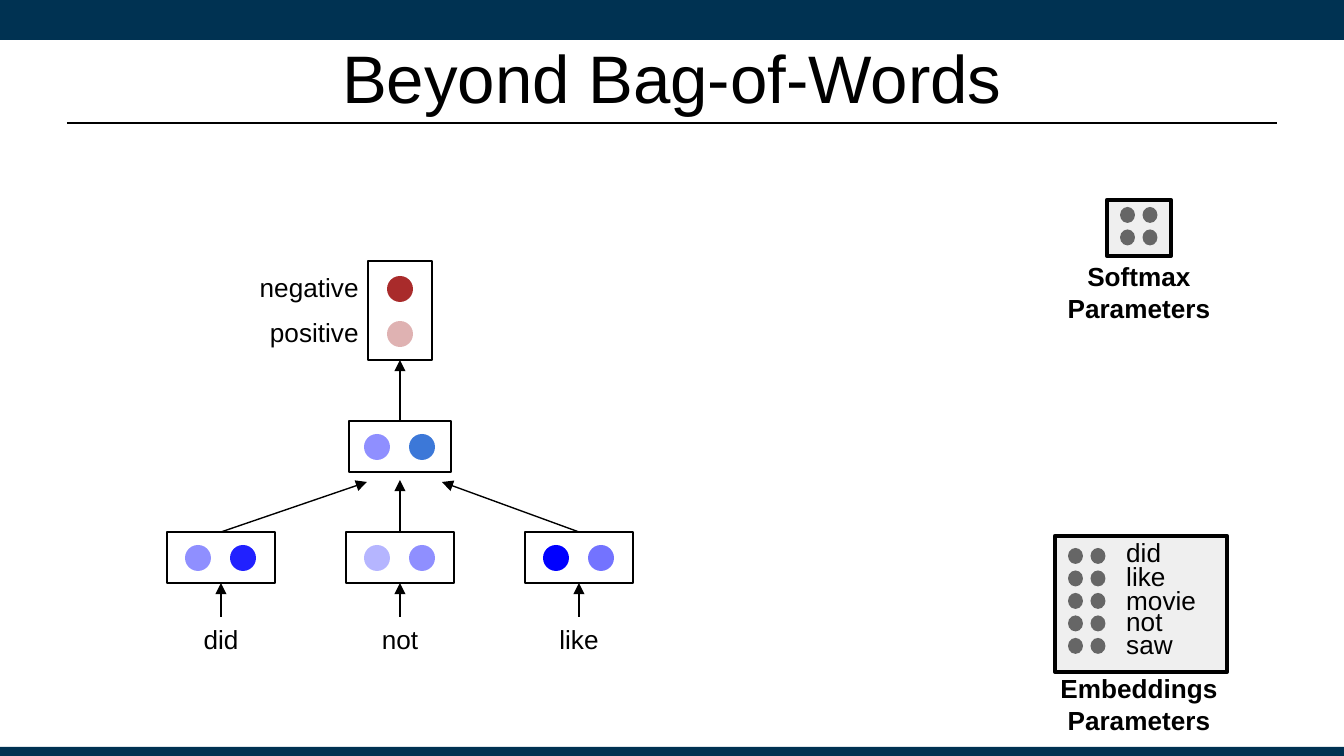
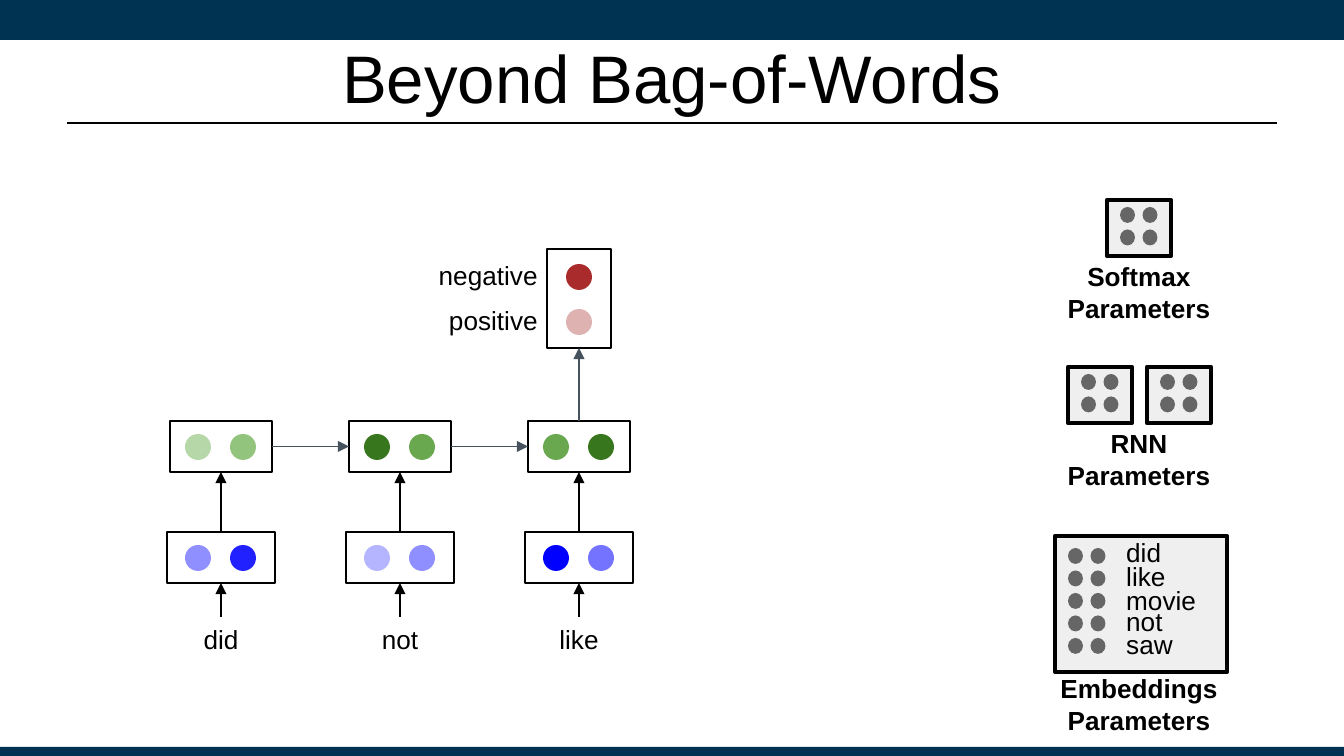
from lxml.etree import SubElement
from pptx import Presentation
from pptx.dml.color import RGBColor
from pptx.enum.shapes import MSO_CONNECTOR, MSO_SHAPE
from pptx.enum.text import MSO_ANCHOR, PP_ALIGN
from pptx.oxml.ns import qn
from pptx.util import Pt

# Content
FONT = "Arial"
TITLE = "Beyond Bag-of-Words"
COLORS = {
    "navy": "003252", "black": "000000", "white": "FFFFFF", "slate": "46535E",
    "panel": "EFEFEF", "gray": "666666", "blue": "0000FF", "sky": "3C78D8",
    "red": "980000", "mist": "B6D7A8", "lime": "93C47D", "leaf": "6AA84F",
    "forest": "38761D",
}
# Each unit is a colour and its opacity in percent
WORDS = [
    ("did", [("blue", 44), ("blue", 87)]),
    ("not", [("blue", 29), ("blue", 44)]),
    ("like", [("blue", 100), ("blue", 55)]),
]
CLASSES = [("negative", ("red", 83), 142), ("positive", ("red", 30), 124)]
AVERAGE_UNITS = [("blue", 44), ("sky", 100)]
AVERAGE_TIPS = [(367, 482), (400, 480), (442, 482)]
RNN_UNITS = [
    [("mist", 100), ("lime", 100)],
    [("forest", 100), ("leaf", 100)],
    [("leaf", 100), ("forest", 100)],
]
VOCABULARY = [("did", 534), ("like", 558), ("movie", 582), ("not", 603), ("saw", 626)]
SOFTMAX = ("Softmax Parameters", 200, [1107])
RNN = ("RNN Parameters", 367, [1068, 1147])

# Layout, in px
WIDTH, HEIGHT = 1344, 756
PX = 914400 / 134.4
CENTERS = [221 + 179 * column for column in range(3)]
WORD_TOP, HIDDEN_TOP, BOX_HEIGHT = 532, 421, 51
UNIT, UNIT_PITCH = 26, 45
TOP, LEFT, BOTTOM, RIGHT = range(4)


def px(*lengths):
    return [round(length * PX) for length in lengths]


def rgb(name):
    return RGBColor.from_string(COLORS[name])


def add_filled(shapes, kind, box, fill, opacity=100, line_width=0):
    shape = shapes.add_shape(kind, *px(*box))
    shape.shadow.inherit = False
    shape.fill.solid()
    shape.fill.fore_color.rgb = rgb(fill)
    if opacity < 100:
        color = next(shape.element.iter(qn("a:srgbClr")))
        SubElement(color, qn("a:alpha"), val=str(opacity * 1000))
    if line_width:
        shape.line.color.rgb = rgb("black")
        shape.line.width = Pt(line_width)
    else:
        shape.line.fill.background()
    return shape


def style_paragraph(paragraph, size, align, bold=False):
    paragraph.alignment = align
    paragraph.font.name = FONT
    paragraph.font.size = Pt(size)
    paragraph.font.bold = bold
    paragraph.font.color.rgb = rgb("black")


def add_text(shapes, text, box, align=PP_ALIGN.CENTER, anchor=MSO_ANCHOR.MIDDLE, bold=False):
    frame = shapes.add_textbox(*px(*box)).text_frame
    frame.word_wrap = True
    frame.vertical_anchor = anchor
    inset = round(0.1 * 914400)
    frame.margin_left = frame.margin_right = inset
    frame.margin_top = frame.margin_bottom = inset
    frame.text = text
    for paragraph in frame.paragraphs:
        style_paragraph(paragraph, 14, align, bold)
        if bold:
            paragraph.line_spacing = 1.05


def add_line(shapes, start, end, color="black", width=0.75, arrow=True):
    """Each end is a point (x, y) or a pair (shape, side)."""
    points = [end_ if isinstance(end_[0], int) else (0, 0) for end_ in (start, end)]
    line = shapes.add_connector(MSO_CONNECTOR.STRAIGHT, *px(*points[0], *points[1]))
    if not isinstance(start[0], int):
        line.begin_connect(*start)
    if not isinstance(end[0], int):
        line.end_connect(*end)
    line.line.color.rgb = rgb(color)
    line.line.width = Pt(width)
    if arrow:
        SubElement(line.line._get_or_add_ln(), qn("a:tailEnd"), type="triangle")
    SubElement(line.element.spPr, qn("a:effectLst"))
    return line


# Shared parts
def move_bands_to_layout(slide, layout):
    for placeholder in list(layout.placeholders):
        if placeholder.placeholder_format.idx >= 10:
            layout.shapes.element.remove(placeholder.element)
    bands = [
        add_filled(slide.shapes, MSO_SHAPE.RECTANGLE, (0, 0, WIDTH, 40), "navy"),
        add_filled(slide.shapes, MSO_SHAPE.RECTANGLE, (0, 747, WIDTH, 9), "navy"),
        add_line(slide.shapes, (67, 123), (1277, 123), width=1.25, arrow=False),
    ]
    for band in bands:
        layout.shapes.element.append(band.element)


def add_titled_slide(prs, layout):
    slide = prs.slides.add_slide(layout)
    title = slide.shapes.title
    title.left, title.top, title.width, title.height = px(67, 34, 1210, 85)
    title.text_frame.text = TITLE
    title.text_frame.vertical_anchor = MSO_ANCHOR.MIDDLE
    style_paragraph(title.text_frame.paragraphs[0], 36, PP_ALIGN.CENTER)
    return slide


# Network
def add_layer_box(shapes, center, top, width, units):
    box = add_filled(shapes, MSO_SHAPE.RECTANGLE,
                     (center - width // 2, top, width, BOX_HEIGHT), "white", line_width=0.75)
    for i, unit in enumerate(units):
        place = (center - 36 + i * UNIT_PITCH, top + 13, UNIT, UNIT)
        add_filled(shapes, MSO_SHAPE.OVAL, place, *unit)
    return box


def add_hidden(shapes, center, units):
    return add_layer_box(shapes, center, HIDDEN_TOP, 102, units)


def add_words(shapes):
    boxes = []
    for center, (word, units) in zip(CENTERS, WORDS):
        add_text(shapes, word, (center - 74, 617, 148, 51), anchor=MSO_ANCHOR.BOTTOM)
        box = add_layer_box(shapes, center, WORD_TOP, 108, units)
        add_line(shapes, (center, 617), (box, BOTTOM))
        boxes.append(box)
    return boxes


def add_output(shapes, center, top):
    box = add_filled(shapes, MSO_SHAPE.RECTANGLE, (center - 32, top, 64, 99), "white", line_width=0.75)
    for i, (name, unit, width) in enumerate(CLASSES):
        shift = top + i * UNIT_PITCH
        add_filled(shapes, MSO_SHAPE.OVAL, (center - 13, shift + 15, UNIT, UNIT), *unit)
        add_text(shapes, name, (center - 28 - width, shift - 6, width, 64), PP_ALIGN.RIGHT)
    return box


# Parameters
def add_matrix(shapes, box, rows, inset_top):
    left, top = box[:2]
    add_filled(shapes, MSO_SHAPE.RECTANGLE, box, "panel", line_width=2.25)
    for row in range(rows):
        for column in range(2):
            dot = (left + 13 + column * UNIT_PITCH / 2,
                   top + inset_top + row * UNIT_PITCH / 2, 15, 16)
            add_filled(shapes, MSO_SHAPE.OVAL, dot, "gray")


def add_parameters(shapes, label, top, lefts):
    for left in lefts:
        add_matrix(shapes, (left, top, 64, 56), 2, 7)
    add_text(shapes, label, (1040, top + 45, 198, 85), anchor=MSO_ANCHOR.TOP, bold=True)


def add_embeddings(shapes):
    group = shapes.add_group_shape().shapes
    add_matrix(group, (1055, 536, 172, 136), len(VOCABULARY), 12)
    for word, top in VOCABULARY:
        add_text(group, word, (1113, top, 124, 36), PP_ALIGN.LEFT)
    add_text(group, "Embeddings\nParameters", (977, 657, 324, 64), anchor=MSO_ANCHOR.TOP, bold=True)


# Slides
def fill_average_slide(shapes):
    words = add_words(shapes)
    for word, tip in zip(words, AVERAGE_TIPS):
        add_line(shapes, (word, TOP), tip)
    average = add_hidden(shapes, CENTERS[1], AVERAGE_UNITS)
    output = add_output(shapes, CENTERS[1], 261)
    add_line(shapes, (average, TOP), (output, BOTTOM))
    add_parameters(shapes, *SOFTMAX)
    add_embeddings(shapes)


def fill_rnn_slide(shapes):
    words = add_words(shapes)
    states = [add_hidden(shapes, center, units) for center, units in zip(CENTERS, RNN_UNITS)]
    for word, state in zip(words, states):
        add_line(shapes, (word, TOP), (state, BOTTOM))
    for state, following in zip(states, states[1:]):
        add_line(shapes, (state, RIGHT), (following, LEFT), "slate")
    output = add_output(shapes, CENTERS[-1], 249)
    add_line(shapes, (states[-1], TOP), (output, BOTTOM), "slate")
    add_parameters(shapes, *SOFTMAX)
    add_embeddings(shapes)
    add_parameters(shapes, *RNN)


def main():
    prs = Presentation()
    prs.slide_width, prs.slide_height = px(WIDTH, HEIGHT)
    layout = prs.slide_layouts[5]
    average_slide, rnn_slide = [add_titled_slide(prs, layout) for _ in range(2)]
    move_bands_to_layout(average_slide, layout)
    fill_average_slide(average_slide.shapes)
    fill_rnn_slide(rnn_slide.shapes)
    prs.save("out.pptx")


if __name__ == "__main__":
    main()
